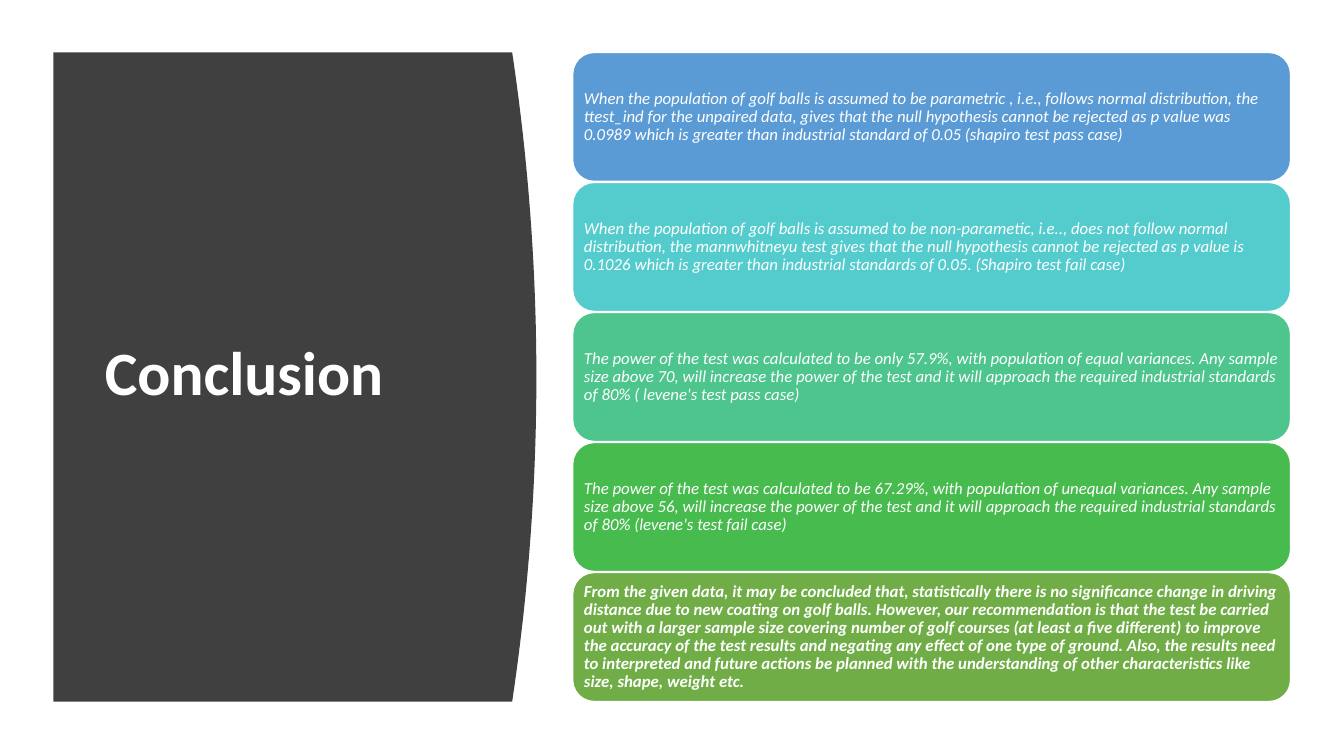
from pptx import Presentation
from pptx.dml.color import RGBColor
from pptx.enum.shapes import MSO_SHAPE
from pptx.enum.text import MSO_ANCHOR, MSO_AUTO_SIZE, PP_ALIGN
from pptx.util import Inches, Pt

ROUNDED = MSO_SHAPE.ROUNDED_RECTANGLE
MIDDLE = MSO_ANCHOR.MIDDLE
LEFT = PP_ALIGN.LEFT
NO_FIT = MSO_AUTO_SIZE.NONE

WHITE = RGBColor(0xFF, 0xFF, 0xFF)
CHARCOAL = RGBColor(0x40, 0x40, 0x40)
BLUE = RGBColor(0x5B, 0x9B, 0xD5)
TURQUOISE = RGBColor(0x54, 0xCC, 0xCD)
MINT = RGBColor(0x4D, 0xC5, 0x8D)
GREEN = RGBColor(0x48, 0xBB, 0x4F)
OLIVE = RGBColor(0x70, 0xAD, 0x47)

TITLE = "Conclusion"
FINDINGS = [
    (BLUE, False,
     "When the population of golf balls is assumed to be parametric , i.e., follows normal "
     "distribution, the ttest_ind for the unpaired data, gives that the null hypothesis cannot "
     "be rejected as p value was 0.0989 which is greater than industrial standard of 0.05 "
     "(shapiro test pass case)"),
    (TURQUOISE, False,
     "When the population of golf balls is assumed to be non-parametic, i.e.., does not follow "
     "normal distribution, the mannwhitneyu test gives that the null hypothesis cannot be "
     "rejected as p value is 0.1026 which is greater than industrial standards of 0.05. "
     "(Shapiro test fail case)"),
    (MINT, False,
     "The power of the test was calculated to be only 57.9%, with population of equal variances. "
     "Any sample size above 70, will increase the power of the test and it will approach the "
     "required industrial standards of 80% ( levene's test pass case)"),
    (GREEN, False,
     "The power of the test was calculated to be 67.29%, with population of unequal variances. "
     "Any sample size above 56, will increase the power of the test and it will approach the "
     "required industrial standards of 80% (levene's test fail case)"),
    (OLIVE, True,
     "From the given data, it may be concluded that, statistically there is no significance "
     "change in driving distance due to new coating on golf balls. However, our recommendation "
     "is that the test be carried out with a larger sample size covering number of golf courses "
     "(at least a five different) to improve the accuracy of the test results and negating any "
     "effect of one type of ground. Also, the results need to interpreted and future actions be "
     "planned with the understanding of other characteristics like size, shape, weight etc."),
]

TOP, BOTTOM = 0.52, 6.96
PANEL_LEFT, PANEL_EDGE, PANEL_BULGE = 0.53, 5.08, 0.24
CURVE_STEPS = 40
CARD_LEFT, CARD_WIDTH, CARD_GAP = 5.68, 7.12, 0.01


def write(shape, text, size, margin, bold=False, italic=False):
    frame = shape.text_frame
    frame.word_wrap = True
    frame.auto_size = NO_FIT
    frame.vertical_anchor = MIDDLE
    frame.margin_left = frame.margin_right = Inches(margin)
    frame.margin_top = frame.margin_bottom = Inches(0.05)
    para = frame.paragraphs[0]
    para.alignment = LEFT
    para.line_spacing = 0.9
    span = para.add_run()
    span.text = text
    span.font.name = "Calibri"
    span.font.size = Pt(size)
    span.font.bold = bold
    span.font.italic = italic
    span.font.color.rgb = WHITE


def paint(shape, color):
    shape.shadow.inherit = False
    shape.fill.solid()
    shape.fill.fore_color.rgb = color


def curve_point(step):
    share = step / CURVE_STEPS
    x = PANEL_EDGE + PANEL_BULGE * 4 * share * (1 - share)
    return Inches(x), Inches(TOP + share * (BOTTOM - TOP))


deck = Presentation()
deck.slide_width, deck.slide_height = Inches(13.33), Inches(7.5)
page = deck.slides.add_slide(deck.slide_layouts[5])

outline = page.shapes.build_freeform(Inches(PANEL_LEFT), Inches(TOP))
outline.add_line_segments(
    [curve_point(step) for step in range(CURVE_STEPS + 1)]
    + [(Inches(PANEL_LEFT), Inches(BOTTOM))])
panel = outline.convert_to_shape()
paint(panel, CHARCOAL)
panel.line.fill.background()

title = page.shapes.title
title.left, title.top = Inches(0.94), Inches(1.11)
title.width, title.height = Inches(3.74), Inches(5.24)
write(title, TITLE, 44, 0.1, bold=True)
title.element.addprevious(panel.element)

pitch = (BOTTOM - TOP + CARD_GAP) / len(FINDINGS)
for row, (color, bold, text) in enumerate(FINDINGS):
    card = page.shapes.add_shape(
        ROUNDED, Inches(CARD_LEFT), Inches(TOP + row * pitch),
        Inches(CARD_WIDTH), Inches(pitch - CARD_GAP))
    paint(card, color)
    card.line.color.rgb = WHITE
    card.line.width = Pt(1)
    write(card, text, 12, 0.05, bold=bold, italic=True)

deck.save("out.pptx")
